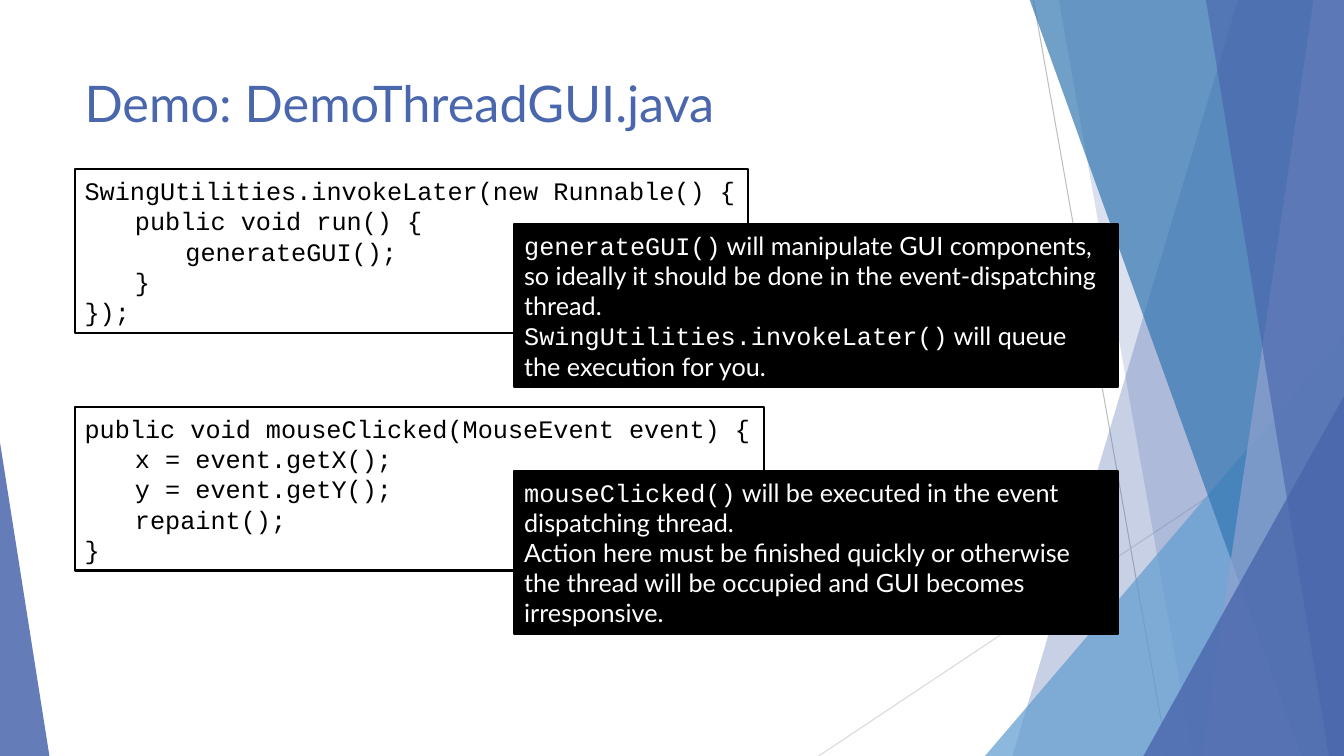
import pptx
import pptx.dml.color
import pptx.enum.shapes
import pptx.enum.text
import pptx.oxml
import pptx.oxml.ns
import pptx.util
from pptx.util import Inches

COLORS = {
    "indigo": "4A66AC", "sky": "629DD1", "blue": "3477B2", "pale": "90A2CF",
    "grey": "BFBFBF", "light": "D9D9D9", "black": "000000", "white": "FFFFFF",
}
CODE, BODY = "Courier New", "Lato"
WIDTH, HEIGHT = 13.33, 7.5


def rgb(name):
    return pptx.dml.color.RGBColor.from_string(COLORS[name])


def fill_shape(sp, color, opacity=100):
    sp.shadow.inherit = False
    sp.fill.solid()
    sp.fill.fore_color.rgb = rgb(color)
    if opacity < 100:
        clr = sp.fill._xPr.find(".//" + pptx.oxml.ns.qn("a:srgbClr"))
        alpha = pptx.oxml.parse_xml(
            f'<a:alpha {pptx.oxml.ns.nsdecls("a")} val="{opacity * 1000}"/>')
        clr.append(alpha)


def add_line(s, start, end, color):
    line = s.shapes.add_connector(
        pptx.enum.shapes.MSO_CONNECTOR.STRAIGHT, *map(Inches, start + end))
    line.line.color.rgb = rgb(color)
    line.line.width = pptx.util.Pt(0.75)
    line._element.spPr.append(pptx.oxml.parse_xml(
        f'<a:effectLst {pptx.oxml.ns.nsdecls("a")}/>'))


def add_band(s, top_x, bottom_left, bottom_right, color, opacity):
    """Full-height band from top_x to the right edge of the slide."""
    corners = [(WIDTH, -0.01), (bottom_right, HEIGHT), (bottom_left, HEIGHT)]
    builder = s.shapes.build_freeform(Inches(top_x), Inches(-0.01))
    builder.add_line_segments(
        [(Inches(x), Inches(y)) for x, y in corners], close=True)
    sp = builder.convert_to_shape()
    fill_shape(sp, color, opacity)
    sp.line.fill.background()


def add_triangle(s, left, top, width, apex, color, opacity):
    """Triangle standing on the bottom edge of the slide."""
    sp = s.shapes.add_shape(
        pptx.enum.shapes.MSO_SHAPE.ISOSCELES_TRIANGLE,
        *map(Inches, (left, top, width, HEIGHT - top)))
    sp.adjustments[0] = apex
    fill_shape(sp, color, opacity)
    sp.line.fill.background()


def add_runs(p, runs, size, color):
    p.alignment = pptx.enum.text.PP_ALIGN.LEFT
    for text, font in runs:
        r = p.add_run()
        r.text = text
        r.font.name = font
        r.font.size = pptx.util.Pt(size)
        r.font.color.rgb = rgb(color)


def add_title(s, text):
    tf = s.shapes.add_textbox(*map(Inches, (0.74, 0.67, 9.4, 0.8))).text_frame
    tf.word_wrap = True
    add_runs(tf.paragraphs[0], [(text, BODY)], 36, "indigo")


def add_box(s, left, top, width, paragraphs, fill, color, wrap):
    sp = s.shapes.add_shape(
        pptx.enum.shapes.MSO_SHAPE.RECTANGLE,
        *map(Inches, (left, top, width, 1.62)))
    fill_shape(sp, fill)
    sp.line.color.rgb = rgb("black")
    sp.line.width = pptx.util.Pt(1.5)
    tf = sp.text_frame
    tf.word_wrap = wrap
    tf.auto_size = pptx.enum.text.MSO_AUTO_SIZE.SHAPE_TO_FIT_TEXT
    tf.vertical_anchor = pptx.enum.text.MSO_ANCHOR.MIDDLE
    for i, runs in enumerate(paragraphs):
        p = tf.add_paragraph() if i else tf.paragraphs[0]
        add_runs(p, runs, 18, color)


def add_code(s, top, width, lines):
    add_box(s, 0.74, top, width, [[(line, CODE)] for line in lines],
            "white", "black", False)


def add_note(s, top, paragraphs):
    add_box(s, 5.1, top, 5.99, paragraphs, "black", "white", True)


def add_decoration(s):
    add_line(s, (10.25, 0), (11.58, HEIGHT), "grey")
    add_line(s, (WIDTH, 4.03), (8.12, HEIGHT), "light")
    add_band(s, 12.28, 10.04, WIDTH, "indigo", 30)
    add_band(s, 10.5, 11.83, WIDTH, "indigo", 20)
    add_triangle(s, 9.77, 3.33, 3.56, 1, "sky", 72)
    add_band(s, 10.21, 12.91, WIDTH, "blue", 70)
    add_band(s, 13.03, 11.92, WIDTH, "pale", 70)
    add_band(s, 11.96, 13.18, WIDTH, "indigo", 65)
    add_triangle(s, 11.34, 3.93, 1.99, 1, "indigo", 80)
    add_triangle(s, 0, 4.39, 0.49, 0, "indigo", 85)


def main():
    prs = pptx.Presentation()
    prs.slide_width, prs.slide_height = Inches(WIDTH), Inches(HEIGHT)
    s = prs.slides.add_slide(prs.slide_layouts[6])

    # Background facets and title
    add_decoration(s)
    add_title(s, "Demo: DemoThreadGUI.java")

    # Queueing work on the event thread
    add_code(s, 1.68, 6.68, [
        "SwingUtilities.invokeLater(new Runnable() {",
        "\tpublic void run() {",
        "\t\tgenerateGUI();",
        "\t}",
        "});",
    ])
    add_note(s, 2.22, [
        [("generateGUI()", CODE),
         (" will manipulate GUI components, so ideally it should be done "
          "in the event-dispatching thread.", BODY)],
        [("SwingUtilities.invokeLater()", CODE),
         (" will queue the execution for you.", BODY)],
    ])

    # Handling a click on the event thread
    add_code(s, 4.04, 6.84, [
        "public void mouseClicked(MouseEvent event) {",
        "\tx = event.getX();",
        "\ty = event.getY();",
        "\trepaint();",
        "}",
    ])
    add_note(s, 4.67, [
        [("mouseClicked()", CODE),
         (" will be executed in the event dispatching thread.", BODY)],
        [("Action here must be finished quickly or otherwise the thread "
          "will be occupied and GUI becomes irresponsive.", BODY)],
    ])

    prs.save("out.pptx")


main()
